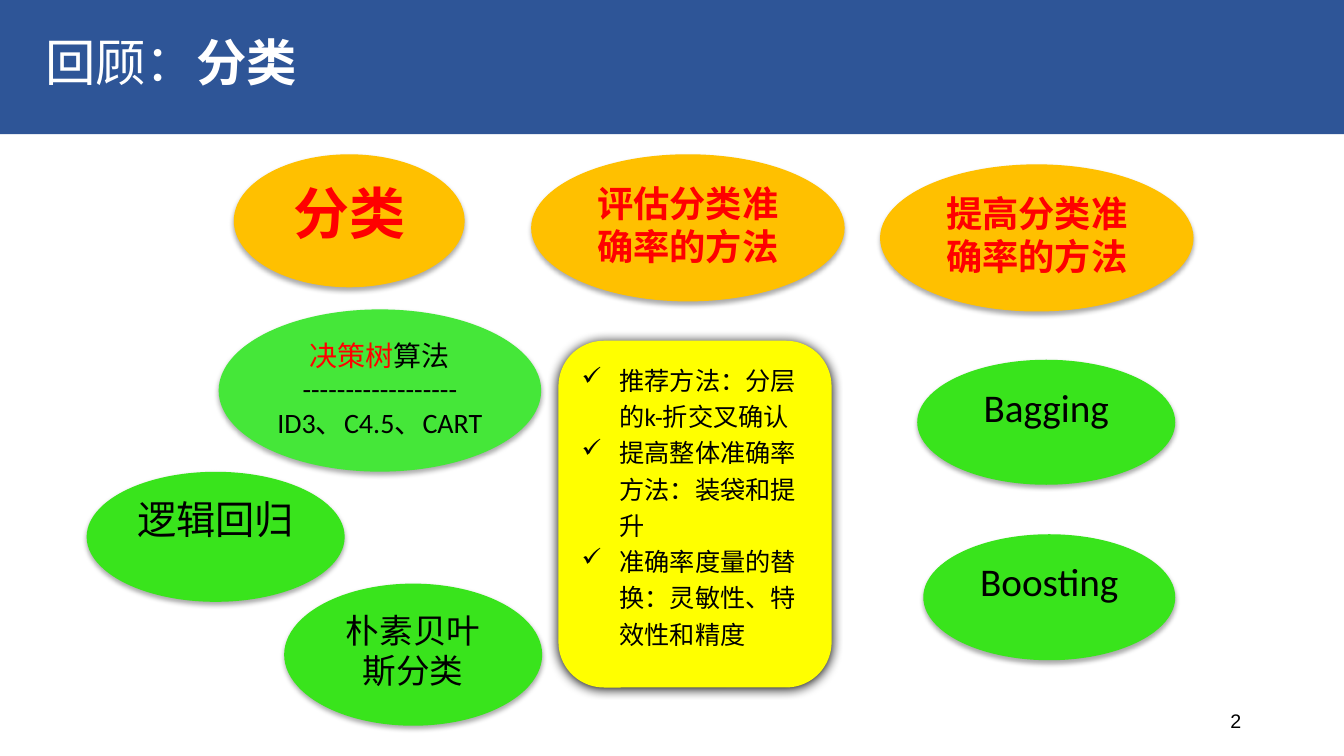
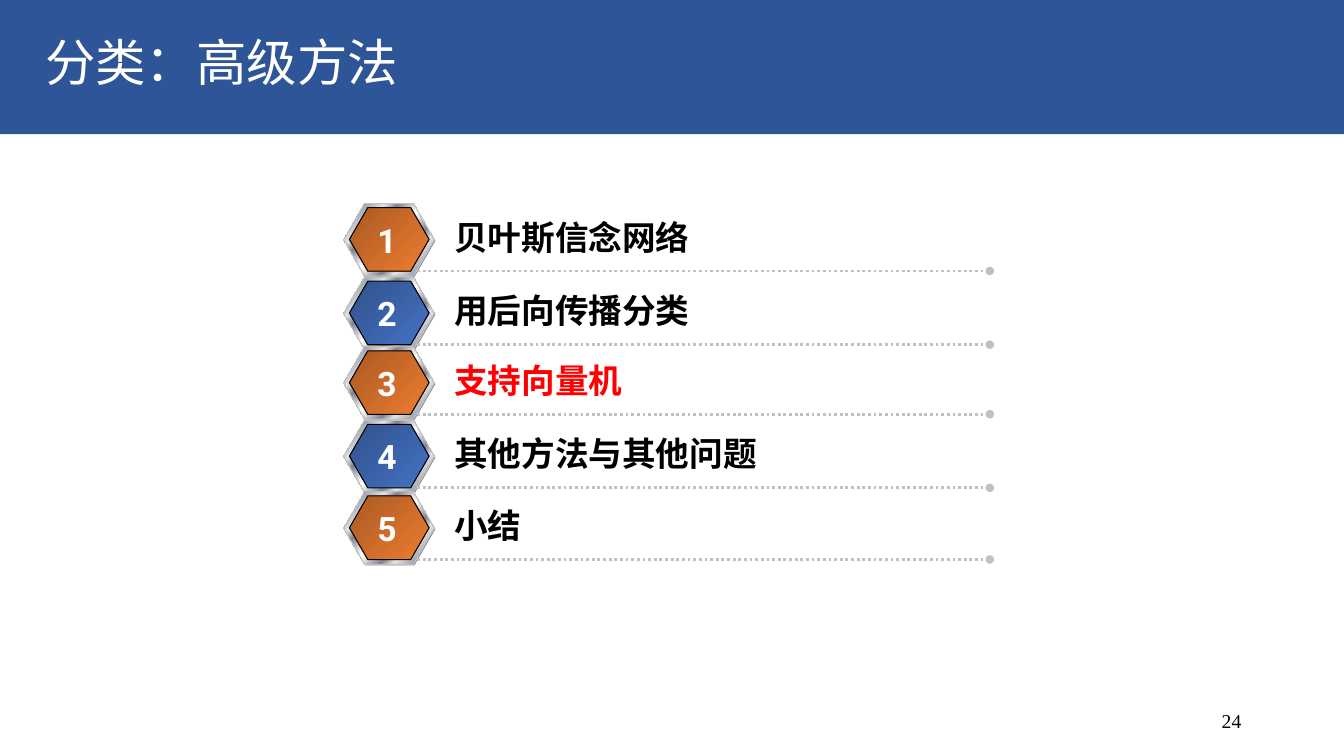
from dataclasses import dataclass
from typing import Optional

from lxml import etree
from pptx import Presentation
from pptx.dml.color import RGBColor
from pptx.enum import dml, shapes, text
from pptx.oxml.ns import qn
from pptx.util import Pt

# Shared style
BLUE, WHITE, BLACK, RED = "2E5597", "FFFFFF", "000000", "FF0000"
GREEN, AMBER, YELLOW, SILVER = "39E41C", "FFC000", "FFFF00", "C0C0C0"
LATIN, CJK = "Calibri", "Noto Sans CJK SC"
OVAL, HEXAGON = shapes.MSO_SHAPE.OVAL, shapes.MSO_SHAPE.HEXAGON
LEFT, CENTER, RIGHT = text.PP_ALIGN.LEFT, text.PP_ALIGN.CENTER, text.PP_ALIGN.RIGHT
METAL = [(0, "E6E6E6"), (8, "7D8496"), (26, "E6E6E6"), (34, "7D8496"),
         (46, "E6E6E6"), (50, "FFFFFF"), (54, "E6E6E6"), (66, "7D8496"),
         (74, "E6E6E6"), (92, "7D8496"), (100, "E6E6E6")]
CORES = [[(0, "AA5923"), (100, "ED7D31")], [(0, "31528C"), (100, "4472C4")]]


@dataclass
class Run:
    text: str
    size: float
    color: str = BLACK
    bold: bool = False
    font: str = LATIN


@dataclass
class Shadow:
    alpha: int
    blur: float
    dist: float


@dataclass
class Bubble:
    x: float
    y: float
    w: float
    h: float
    fill: str
    paras: list[list[Run]]


@dataclass
class Topic:
    y: float
    label: str
    color: str = BLACK


SOFT, STRONG = Shadow(32, 3.5, 2.2), Shadow(100, 8.5, 1)


def rgb(color: str) -> RGBColor:
    return RGBColor.from_string(color)


def sub(parent, tag: str, **attrs):
    return etree.SubElement(parent, qn(tag), {k: str(v) for k, v in attrs.items()})


# Text
def add_run(p, run: Run) -> None:
    r = p.add_run()
    r.text = run.text
    r.font.size, r.font.bold, r.font.name = Pt(run.size), run.bold, run.font
    r.font.color.rgb = rgb(run.color)
    sub(r.font._element, "a:ea", typeface=CJK)


def write(tf, paras: list[list[Run]], align=LEFT, spacing: Optional[float] = None,
          bullet: str = "", indent: float = 0) -> None:
    for i, runs in enumerate(paras):
        p = tf.add_paragraph() if i else tf.paragraphs[0]
        p.alignment = align
        if spacing:
            p.line_spacing = spacing
        if bullet:
            ppr = p._p.get_or_add_pPr()
            ppr.set("marL", str(Pt(indent)))
            ppr.set("indent", str(-Pt(indent)))
            sub(ppr, "a:buChar", char=bullet)
        for run in runs:
            add_run(p, run)


def add_text(parent, x: float, y: float, w: float, h: float, run_list: list[Run],
             align=LEFT, grow: bool = False, spacing: Optional[float] = None) -> None:
    tf = parent.add_textbox(Pt(x), Pt(y), Pt(w), Pt(h)).text_frame
    tf.word_wrap = not grow
    if grow:
        tf.auto_size = text.MSO_AUTO_SIZE.SHAPE_TO_FIT_TEXT
    else:
        tf.vertical_anchor = text.MSO_ANCHOR.MIDDLE
    write(tf, [run_list], align, spacing)


# Shapes
def add_shape(parent, kind, x: float, y: float, w: float, h: float,
              fill: str = "", stops=None, line: str = "", shadow: Optional[Shadow] = None):
    sp = parent.add_shape(kind, Pt(x), Pt(y), Pt(w), Pt(h))
    sp.shadow.inherit = False
    if stops:
        sp.fill.gradient()
        sp.fill.gradient_angle = 315
        gs_list = sp._element.spPr.find(".//" + qn("a:gsLst"))
        for gs in list(gs_list):
            gs_list.remove(gs)
        for pos, color in stops:
            sub(sub(gs_list, "a:gs", pos=pos * 1000), "a:srgbClr", val=color)
    else:
        sp.fill.solid()
        sp.fill.fore_color.rgb = rgb(fill)
    if line:
        sp.line.color.rgb, sp.line.width = rgb(line), Pt(0.75)
    else:
        sp.line.fill.background()
    if shadow:
        effects = sp._element.spPr.find(qn("a:effectLst"))
        outer = sub(effects, "a:outerShdw", blurRad=Pt(shadow.blur),
                    dist=Pt(shadow.dist), dir=5400000, rotWithShape=0)
        sub(sub(outer, "a:srgbClr", val=BLACK), "a:alpha", val=shadow.alpha * 1000)
    if kind == HEXAGON:
        sp.adjustments[0] = 0.289
    sp.text_frame.word_wrap = True
    sp.text_frame.vertical_anchor = text.MSO_ANCHOR.TOP
    return sp


def add_bubble(parent, b: Bubble) -> None:
    sp = add_shape(parent, OVAL, b.x, b.y, b.w, b.h, b.fill, shadow=SOFT)
    write(sp.text_frame, b.paras, CENTER)


def add_dotted_line(parent, x1: float, x2: float, y: float) -> None:
    ln = parent.add_connector(shapes.MSO_CONNECTOR.STRAIGHT, Pt(x1), Pt(y), Pt(x2), Pt(y))
    ln.line.color.rgb, ln.line.width = rgb(SILVER), Pt(2)
    ln.line.dash_style = dml.MSO_LINE.ROUND_DOT
    sub(ln.line._get_or_add_ln(), "a:tailEnd", type="oval")
    sub(ln._element.spPr, "a:effectLst")


def add_topic(parent, number: int, topic: Topic) -> None:
    y = topic.y
    add_shape(parent, HEXAGON, 246.2, y + 0.7, 64.8, 51.8, "808080")
    add_shape(parent, HEXAGON, 245.5, y, 64.8, 51.8, stops=METAL, line=SILVER)
    add_shape(parent, HEXAGON, 249.6, y + 2.9, 56.9, 45.4,
              stops=CORES[(number - 1) % 2], line=BLACK)
    add_dotted_line(parent, 298, 707, y + 48.2)
    add_text(parent, 317.4, y + 5.8, 24.4 * len(topic.label) + 14.4, 36,
             [Run(topic.label, 24, topic.color, True, CJK)], grow=True)
    add_text(parent, 261.4, y + 7.9, 30.2, 36,
             [Run(str(number), 24, WHITE, True, "Roboto")], CENTER, grow=True)


def new_slide(prs, title: list[Run], number: int, number_font: str):
    s = prs.slides.add_slide(prs.slide_layouts[6])
    add_shape(s.shapes, shapes.MSO_SHAPE.RECTANGLE, -2, -0.7, 965.5, 96.5, BLUE)
    add_text(s.shapes, 25.2, 10.8, 815.8, 72, title, spacing=0.9)
    add_text(s.shapes, 677.8, 500.4, 216, 28.8,
             [Run(str(number), 14, font=number_font)], RIGHT)
    return s


# Slide content
BUBBLES = [
    Bubble(203, 416.9, 184.3, 101.5, GREEN, [[Run("朴素贝叶斯分类", 24)]]),
    Bubble(379.4, 110.2, 223.9, 105.1, AMBER, [[Run("评估分类准确率的方法", 25.9, RED, True)]]),
    Bubble(156.2, 221, 230.4, 115.9, "45E739",
           [[Run("决策树", 20, RED), Run("算法", 20)],
            [Run("------------------", 20)],
            [Run("ID3、C4.5、CART", 20)]]),
    Bubble(167, 110.2, 164.9, 95, AMBER, [[Run("分类", 40, RED, True)]]),
    Bubble(655.2, 257, 184.3, 89.3, GREEN, [[Run("Bagging", 28)]]),
    Bubble(659.5, 381.6, 180, 90, GREEN, [[Run("Boosting", 28)]]),
    Bubble(628.6, 117.4, 223.9, 105.1, AMBER, [[Run("提高分类准确率的方法", 25.9, RED, True)]]),
    Bubble(61.9, 337, 184.3, 92.9, GREEN, [[Run("逻辑回归", 28)]]),
]
ADVICE = ["推荐方法：分层的k-折交叉确认", "提高整体准确率方法：装袋和提升",
          "准确率度量的替换：灵敏性、特效性和精度"]
TOPICS = [Topic(145.4, "贝叶斯信念网络"), Topic(198, "用后向传播分类"),
          Topic(247.7, "支持向量机", RED), Topic(300.2, "其他方法与其他问题"),
          Topic(351.4, "小结")]


def main() -> None:
    prs = Presentation()
    prs.slide_width, prs.slide_height = Pt(960), Pt(540)

    # Review of classification
    s = new_slide(prs, [Run("回顾：", 36, WHITE), Run("分类", 36, WHITE, True)], 2, "Arial")
    for bubble in BUBBLES:
        add_bubble(s.shapes, bubble)
    card = add_shape(s.shapes, shapes.MSO_SHAPE.ROUNDED_RECTANGLE,
                     398.9, 243.4, 195.1, 247.7, YELLOW, shadow=STRONG)
    write(card.text_frame, [[Run(line, 18)] for line in ADVICE],
          spacing=1.2, bullet="✓", indent=27)

    # Agenda of advanced methods
    s = new_slide(prs, [Run("分类：高级方法", 36, WHITE)], 24, "Times New Roman")
    for number, topic in enumerate(TOPICS, 1):
        add_topic(s.shapes.add_group_shape().shapes, number, topic)

    prs.save("out.pptx")


if __name__ == "__main__":
    main()
